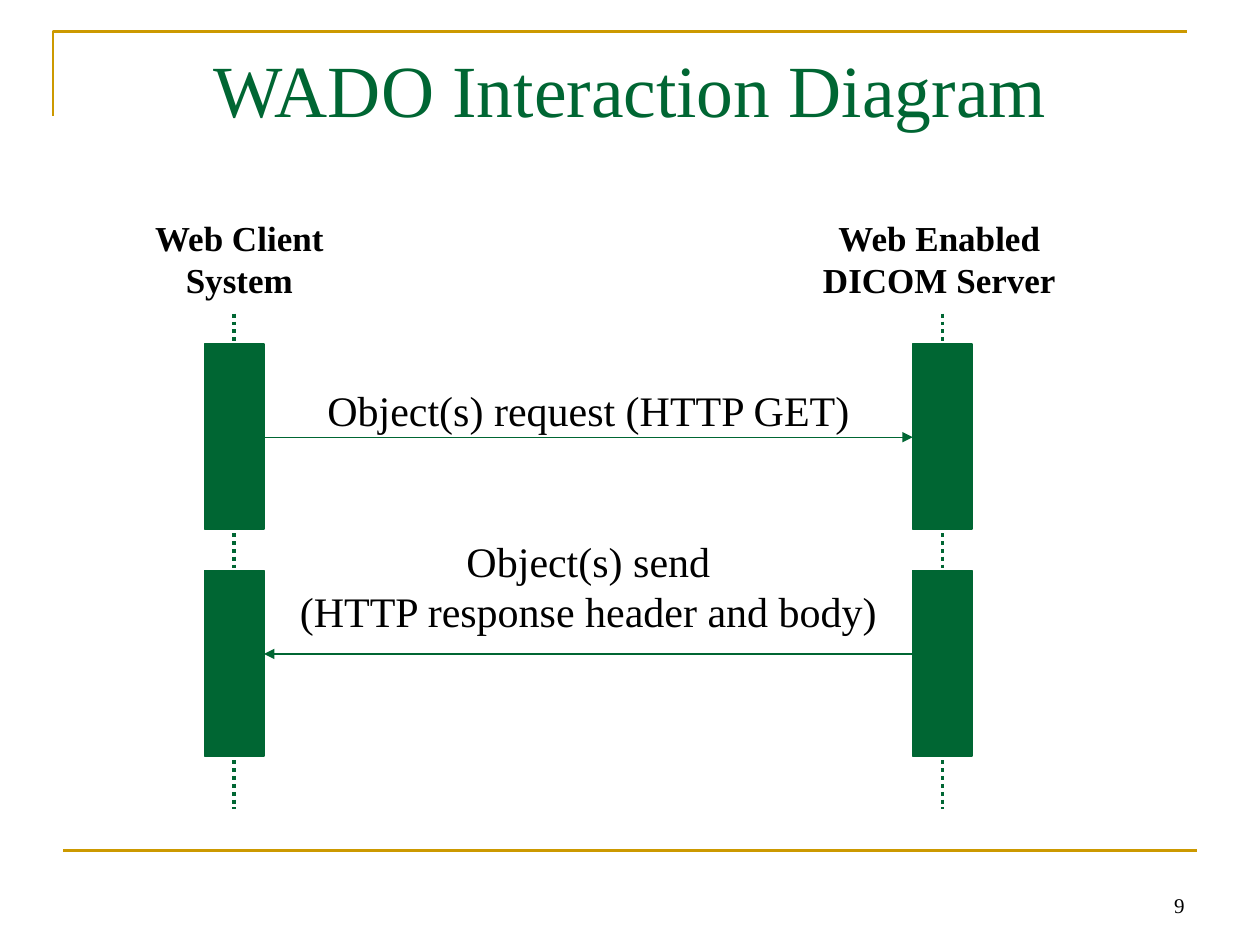
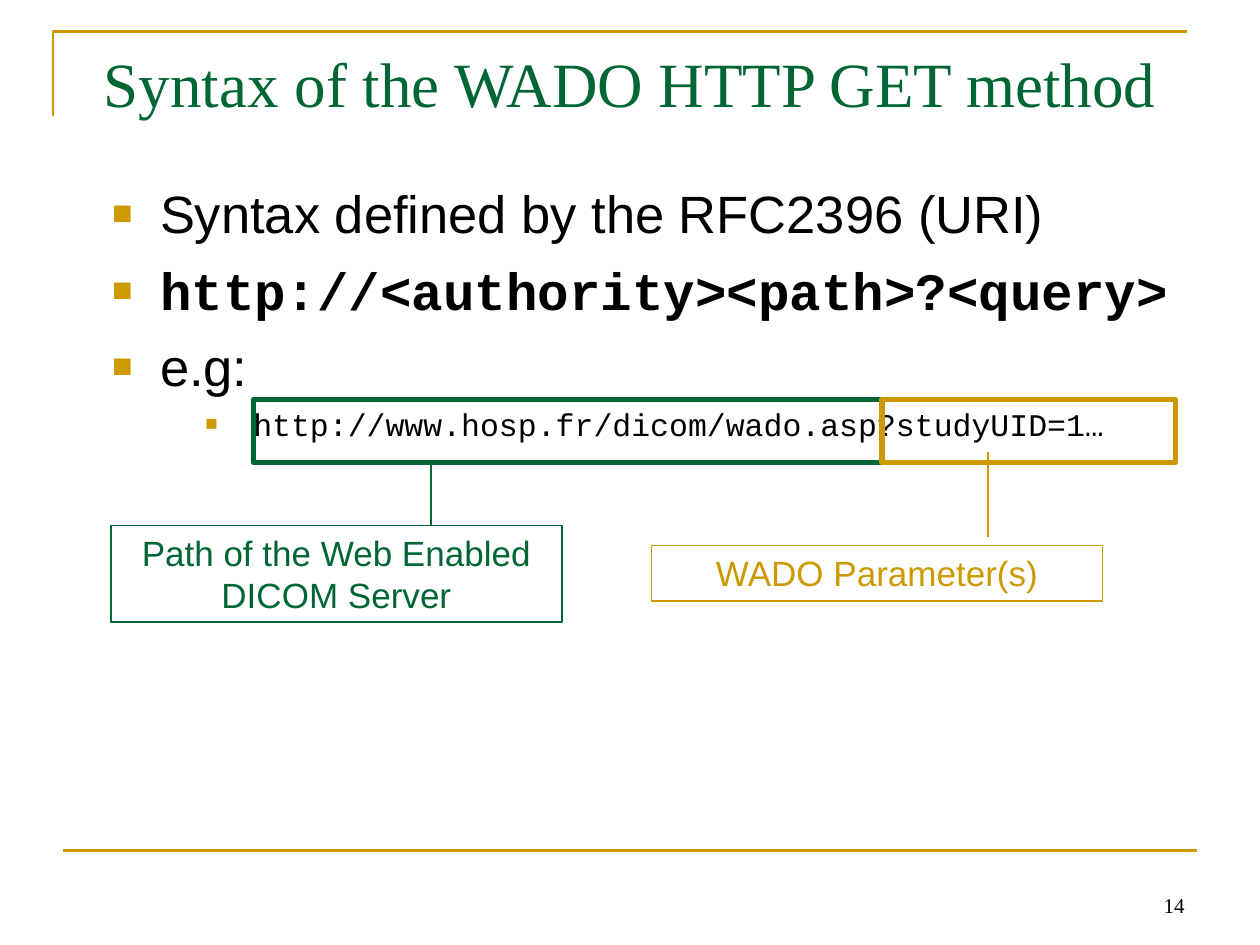
from dataclasses import dataclass

from lxml import etree
from pptx import Presentation
from pptx.dml.color import RGBColor
from pptx.enum.dml import MSO_LINE
from pptx.enum.shapes import MSO_CONNECTOR, MSO_SHAPE
from pptx.enum.text import MSO_ANCHOR, MSO_AUTO_SIZE, PP_ALIGN
from pptx.oxml.ns import qn
from pptx.util import Inches, Pt

LEFT, CENTER, RIGHT = PP_ALIGN.LEFT, PP_ALIGN.CENTER, PP_ALIGN.RIGHT
TOP, BOTTOM = MSO_ANCHOR.TOP, MSO_ANCHOR.BOTTOM
NO_FIT = MSO_AUTO_SIZE.NONE
RECT, STRAIGHT = MSO_SHAPE.RECTANGLE, MSO_CONNECTOR.STRAIGHT
DOTS = MSO_LINE.ROUND_DOT
TITLE_BODY, TITLE_ONLY = 1, 5


@dataclass(frozen=True)
class Theme:
    green: str = "006633"
    gold: str = "CC9900"
    black: str = "000000"
    serif: str = "Times New Roman"
    sans: str = "Arial"
    mono: str = "Courier New"
    title: int = 42
    small_title: int = 36
    body: int = 30
    message: int = 24
    label: int = 20
    code: int = 18
    number: int = 12


T = Theme()


def color(code):
    return RGBColor.from_string(code)


def inches(box):
    return [Inches(v) for v in box]


def style(run, size, font, ink=T.black, bold=False):
    run.font.size, run.font.name, run.font.bold = Pt(size), font, bold
    run.font.color.rgb = color(ink)


def write(shape, text, align=LEFT, anchor=TOP, **look):
    """Fill a shape with text, one paragraph a line."""
    frame = shape.text_frame
    frame.word_wrap = True
    frame.auto_size = NO_FIT
    frame.vertical_anchor = anchor
    for i, line in enumerate(text.split("\n")):
        para = frame.add_paragraph() if i else frame.paragraphs[0]
        para.alignment = align
        run = para.add_run()
        run.text = line
        style(run, **look)


def label(slide, box, text, **look):
    write(slide.shapes.add_textbox(*inches(box)), text, **look)


def rect(slide, box, ink, width, fill=None):
    shape = slide.shapes.add_shape(RECT, *inches(box))
    shape.shadow.inherit = False
    shape.line.color.rgb = color(ink)
    shape.line.width = Pt(width)
    if fill:
        shape.fill.solid()
        shape.fill.fore_color.rgb = color(fill)
    else:
        shape.fill.background()
    return shape


def line(slide, start, end, ink, width, dash=None, arrow=False):
    link = slide.shapes.add_connector(STRAIGHT, *inches(start + end))
    link.line.color.rgb = color(ink)
    link.line.width = Pt(width)
    if dash:
        link.line.dash_style = dash
    props = link._element.spPr
    if arrow:
        tip = etree.SubElement(props.find(qn("a:ln")), qn("a:tailEnd"))
        tip.set("type", "triangle")
    etree.SubElement(props, qn("a:effectLst"))


def bullet(para, left, hang):
    """Add a gold square bullet with a hanging indent."""
    props = para._p.get_or_add_pPr()
    props.set("marL", str(Inches(left)))
    props.set("indent", str(-Inches(hang)))
    ink = etree.SubElement(props, qn("a:buClr"))
    etree.SubElement(ink, qn("a:srgbClr")).set("val", T.gold)
    etree.SubElement(props, qn("a:buSzPct")).set("val", "65000")
    etree.SubElement(props, qn("a:buFont")).set("typeface", T.sans)
    etree.SubElement(props, qn("a:buChar")).set("char", "■")


def place(shape, box):
    shape.left, shape.top, shape.width, shape.height = inches(box)


def frame(slide):
    """Draw the gold corner rule and the footer rule."""
    pen = slide.shapes.build_freeform(Inches(0.42), Inches(0.92), scale=1.0)
    points = [(0.42, 0.25), (9.42, 0.25)]
    pen.add_line_segments([inches(p) for p in points], close=False)
    edge = pen.convert_to_shape()
    edge.shadow.inherit = False
    edge.fill.background()
    edge.line.color.rgb = color(T.gold)
    edge.line.width = Pt(1.5)
    line(slide, (0.5, 6.75), (9.5, 6.75), T.gold, 1.5)


def start(deck, layout, title, size, number):
    """Add a slide with its frame, title and number."""
    slide = deck.slides.add_slide(deck.slide_layouts[layout])
    frame(slide)
    place(slide.shapes.title, (0.5, 0.3, 9, 1.25))
    write(slide.shapes.title, title, align=CENTER, size=size,
          font=T.serif, ink=T.green)
    label(slide, (7.17, 6.83, 2.33, 0.5), number, align=RIGHT,
          anchor=BOTTOM, size=T.number, font=T.serif)
    return slide


def diagram(slide, box):
    """Draw two lifelines and the messages between them."""
    x, y, w, h = box
    bar_w, bar_h, step = 0.47, 1.47, 1.8
    client, server = x + 0.78, x + 6.4
    heads = [(x, 1.64, "Web Client\nSystem"),
             (x + w - 2.25, 2.25, "Web Enabled DICOM Server")]
    for left, width, text in heads:
        label(slide, (left, y, width, 0.74), text, align=CENTER,
              size=T.label, font=T.serif, bold=True)
    for mid in (client, server):
        line(slide, (mid, y + 0.82), (mid, y + h), T.green, 2.25, dash=DOTS)
        for i in range(2):
            top = y + 1.06 + i * step
            rect(slide, (mid - bar_w / 2, top, bar_w, bar_h),
                 T.green, 0.75, fill=T.green)

    near, far = client + bar_w / 2, server - bar_w / 2
    messages = [
        (near, far, 1.8, (1.42, 1.33, 4.5, 0.49), LEFT,
         "Object(s) request (HTTP GET)"),
        (far, near, 3.52, (1.09, 2.53, 5, 0.98), CENTER,
         "Object(s) send\n(HTTP response header and body)"),
    ]
    for begin, end, drop, (dx, dy, width, height), align, text in messages:
        line(slide, (begin, y + drop), (end, y + drop), T.green, 0.75,
             arrow=True)
        label(slide, (x + dx, y + dy, width, height), text, align=align,
              size=T.message, font=T.serif)


def syntax(slide, box):
    """Fill the body list: text, level, size, font, bold."""
    rows = [
        ("Syntax defined by the RFC2396 (URI)", 0, T.body, T.sans, False),
        ("http://<authority><path>?<query>", 0, T.body, T.mono, True),
        ("e.g:", 0, T.body, T.sans, False),
        ("http://www.hosp.fr/dicom/wado.asp?studyUID=1…", 2, T.code,
         T.mono, False),
    ]
    body = slide.placeholders[1]
    place(body, box)
    write(body, "\n".join(row[0] for row in rows), size=T.body, font=T.sans)
    body_rows = zip(body.text_frame.paragraphs, rows)
    for i, (para, (_, level, size, font, bold)) in enumerate(body_rows):
        para.level = level
        bullet(para, 1.12 if level else 0.38, 0.38)
        para.space_before = Pt(0 if not i else 4.5 if level else 7.5)
        style(para.runs[0], size, font, bold=bold)


def callouts(slide, box):
    """Outline the two parts of the address and name each one."""
    x, y, w, h = box
    split = 4.99
    parts = [
        (0, split, T.green, (-1.13, 1, 3.58, 0.77), 1.41, (0.5, 1),
         "Path of the Web Enabled DICOM Server"),
        (split, w - split, T.gold, (3.16, 1.16, 3.58, 0.44), 5.83,
         (0.42, 1.09), "WADO Parameter(s)"),
    ]
    for left, width, ink, (dx, dy, bw, bh), stem, (top, end), text in parts:
        rect(slide, (x + left, y, width, h), ink, 3)
        note = rect(slide, (x + dx, y + dy, bw, bh), ink, 1)
        write(note, text, align=CENTER, size=T.label, font=T.sans, ink=ink)
        line(slide, (x + stem, y + end), (x + stem, y + top), ink, 1)


def main():
    deck = Presentation()
    deck.slide_width, deck.slide_height = Inches(10), Inches(7.5)

    slide = start(deck, TITLE_ONLY, "WADO Interaction Diagram", T.title, "9")
    diagram(slide, (1.08, 1.67, 7.5, 4.75))

    slide = start(deck, TITLE_BODY, "Syntax of the WADO HTTP GET method",
                  T.small_title, "14")
    syntax(slide, (0.79, 1.39, 9.21, 4.96))
    callouts(slide, (2.01, 3.17, 7.32, 0.5))

    deck.save("out.pptx")


if __name__ == "__main__":
    main()
